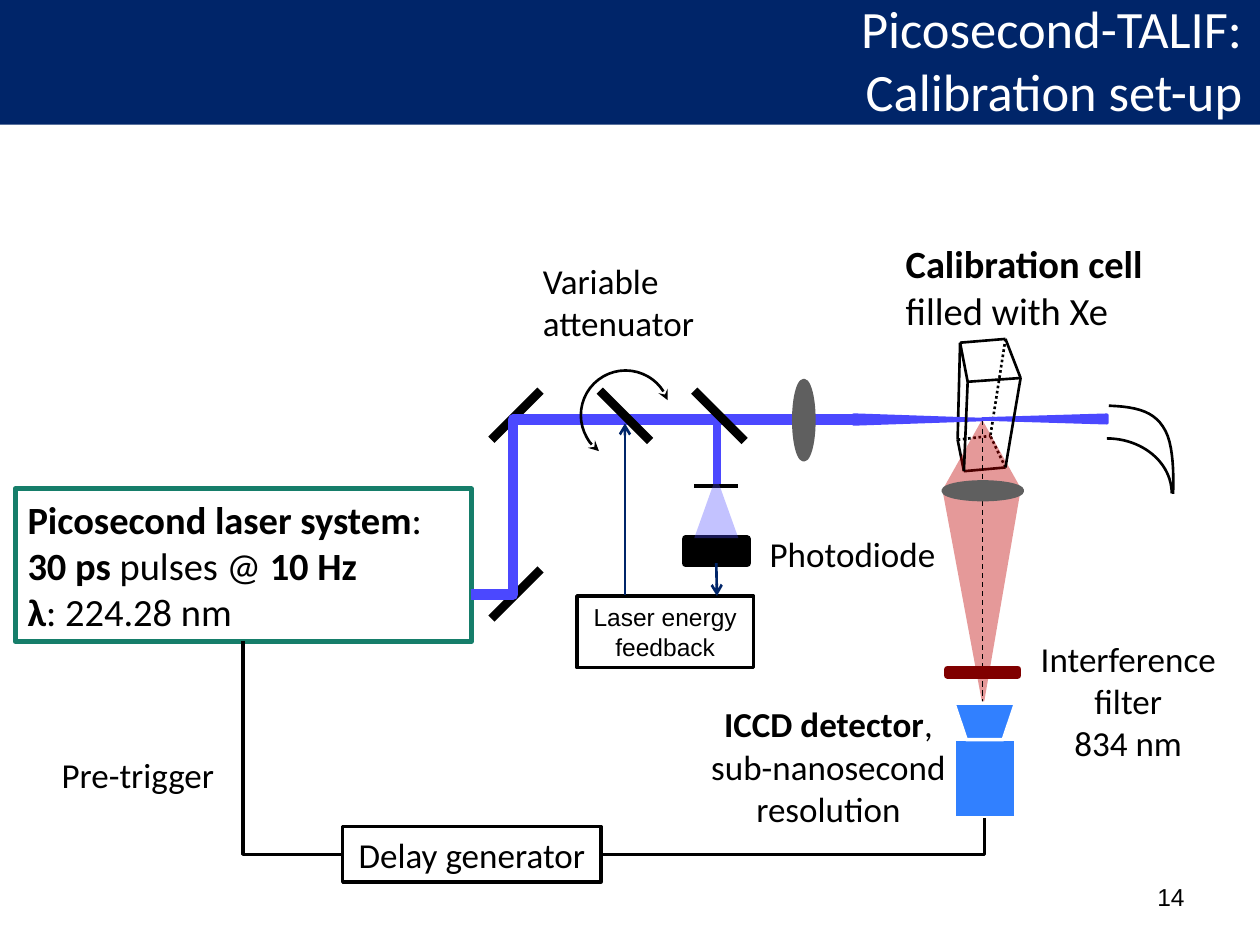
import dataclasses

import lxml.etree
import pptx
import pptx.dml.color
import pptx.enum.dml
import pptx.enum.shapes
import pptx.enum.text
import pptx.oxml.ns
import pptx.util

Inches = pptx.util.Inches
SHAPE = pptx.enum.shapes.MSO_SHAPE
CONNECTOR = pptx.enum.shapes.MSO_CONNECTOR
DASH = pptx.enum.dml.MSO_LINE
ALIGN = pptx.enum.text.PP_ALIGN
ANCHOR = pptx.enum.text.MSO_ANCHOR
qn = pptx.oxml.ns.qn


@dataclasses.dataclass(frozen=True)
class Theme:
    navy: str = "002569"
    white: str = "FFFFFF"
    black: str = "000000"
    beam: str = "4B48FF"
    glow: str = "C00000"
    lens: str = "5F5F5F"
    camera: str = "3180FF"
    filter: str = "800000"
    laser: str = "167E6A"
    font: str = "Calibri"
    small_font: str = "Arial"
    title: int = 30
    large: int = 22
    label: int = 20
    small: int = 14


class Diagram:
    """Draws styled elements on the current slide."""

    def __init__(self, theme, slide):
        self.theme = theme
        self.s = slide

    def rgb(self, color):
        return pptx.dml.color.RGBColor.from_string(color)

    def set_text(self, sp, paragraphs, size, align=ALIGN.LEFT, font=None, color=None,
                 anchor=ANCHOR.TOP, wrap=True):
        tf = sp.text_frame
        tf.word_wrap = wrap
        tf.vertical_anchor = anchor
        for i, runs in enumerate(paragraphs):
            p = tf.add_paragraph() if i else tf.paragraphs[0]
            p.alignment = align
            for text, bold in runs:
                for j, part in enumerate(text.split("\n")):
                    if j:
                        p.add_line_break()
                    r = p.add_run()
                    r.text = part
                    r.font.name = font or self.theme.font
                    r.font.size = pptx.util.Pt(size)
                    r.font.bold = bold
                    r.font.color.rgb = self.rgb(color or self.theme.black)
        return sp

    def title(self, box, lines):
        sp = self.s.shapes.title
        sp.left, sp.top, sp.width, sp.height = map(Inches, box)
        sp.text_frame.auto_size = pptx.enum.text.MSO_AUTO_SIZE.NONE
        self.set_text(sp, [[(line, False)] for line in lines], self.theme.title,
                      ALIGN.RIGHT, color=self.theme.white)
        for p in sp.text_frame.paragraphs:
            p.space_before = pptx.util.Pt(0)

    def text(self, box, paragraphs, size=None, **style):
        sp = self.s.shapes.add_textbox(*map(Inches, box))
        return self.set_text(sp, paragraphs, size or self.theme.label, **style)

    def outline(self, sp, color, width, dash=None, head=None, tail=None):
        sp.line.color.rgb = self.rgb(color)
        sp.line.width = pptx.util.Pt(width)
        if dash:
            sp.line.dash_style = dash
        ln = sp.element.spPr.find(qn("a:ln"))
        for tag, kind in (("a:headEnd", head), ("a:tailEnd", tail)):
            if kind:
                lxml.etree.SubElement(ln, qn(tag)).set("type", kind)

    def shape(self, kind, box, fill=None, line=None, width=2, alpha=None, rot=0, adj=(), **ends):
        sp = self.s.shapes.add_shape(kind, *map(Inches, box))
        sp.shadow.inherit = False
        sp.rotation = rot
        for i, value in enumerate(adj):
            sp.adjustments[i] = value
        if fill:
            sp.fill.solid()
            sp.fill.fore_color.rgb = self.rgb(fill)
        else:
            sp.fill.background()
        if alpha:
            clr = next(sp.element.spPr.iter(qn("a:srgbClr")))
            lxml.etree.SubElement(clr, qn("a:alpha")).set("val", str(alpha * 1000))
        if line:
            self.outline(sp, line, width, **ends)
        else:
            sp.line.fill.background()
        return sp

    def connector(self, start, end, color=None, width=1.5, kind=CONNECTOR.STRAIGHT, **ends):
        c = self.s.shapes.add_connector(kind, *map(Inches, start + end))
        self.outline(c, color or self.theme.black, width, **ends)
        lxml.etree.SubElement(c.element.spPr, qn("a:effectLst"))
        return c

    def elbow(self, start, end, color, width, bend=None):
        c = self.connector(start, end, color, width, CONNECTOR.ELBOW)
        geom = c.element.spPr.find(qn("a:prstGeom"))
        if bend is None:
            geom.set("prst", "bentConnector2")
        else:
            gd = lxml.etree.SubElement(geom.find(qn("a:avLst")), qn("a:gd"))
            gd.set("name", "adj1")
            gd.set("fmla", f"val {round(bend * 100000)}")
        return c

    def curve(self, start, segments, color, width, steps=12):
        points = []
        last = start
        for seg in segments:
            a, b, c, d = last, *seg
            for i in range(1, steps + 1):
                t = i / steps
                u = 1 - t
                points.append(tuple(
                    Inches(u**3 * a[k] + 3 * u * u * t * b[k] + 3 * u * t * t * c[k] + t**3 * d[k])
                    for k in (0, 1)))
            last = d
        builder = self.s.shapes.build_freeform(*map(Inches, start))
        builder.add_line_segments(points, close=False)
        sp = builder.convert_to_shape()
        sp.shadow.inherit = False
        sp.fill.background()
        self.outline(sp, color, width)


def main():
    prs = pptx.Presentation()
    prs.slide_width, prs.slide_height = Inches(10), Inches(7.5)
    t = Theme()
    s = prs.slides.add_slide(prs.slide_layouts[5])
    d = Diagram(t, s)
    center = ALIGN.CENTER

    bar = d.shape(SHAPE.RECTANGLE, (0, 0, 10, 0.99), t.navy)
    s.shapes.element.insert(2, bar.element)
    d.title((0.39, -0.08, 9.57, 0.76), ["Picosecond-TALIF:", "Calibration set-up"])

    top_left, top_right = (7.62, 2.72), (7.98, 2.69)
    front_left, front_right = (7.68, 3.03), (8.1, 3)
    base_left, base_right = (7.65, 3.74), (7.98, 3.71)
    back_left, back_right = (7.6, 3.49), (7.86, 3.46)
    for a, b in ((back_left, top_left), (front_left, front_right), (top_left, top_right),
                 (front_left, top_left), (front_right, top_right), (base_left, base_right),
                 (base_left, back_left)):
        d.connector(a, b)
    for corner in (top_right, base_right, back_left):
        d.connector(corner, back_right, dash=DASH.ROUND_DOT)

    d.shape(SHAPE.ISOSCELES_TRIANGLE, (7.48, 3.33, 0.63, 0.56), t.glow, alpha=40)
    d.shape(SHAPE.ISOSCELES_TRIANGLE, (7.48, 3.89, 0.62, 1.73), t.glow, alpha=40,
            rot=180, adj=[0.48])
    camera = d.shape(SHAPE.RECTANGLE, (7.57, 5.87, 0.49, 0.62), t.camera, t.white)
    d.text((5.47, 5.53, 2.21, 1.11),
           [[("ICCD detector", True), (",\nsub-nanosecond\nresolution", False)]], align=center)
    d.connector((7.8, 3.33), (7.8, 5.87), width=0.75, dash=DASH.DASH)
    d.shape(SHAPE.FLOWCHART_MANUAL_OPERATION, (7.57, 5.58, 0.49, 0.29), t.camera, t.white)
    d.shape(SHAPE.OVAL, (7.73, 3.58, 0.14, 0.63), t.lens, t.lens, rot=90)
    d.shape(SHAPE.RECTANGLE, (7.52, 5.31, 0.56, 0.05), t.filter, t.filter, 4)
    d.text((8.07, 5.01, 1.77, 1.11),
           [[("Interference\nfilter", False)], [("834 nm", False)]], align=center)

    d.text((0.39, 5.93, 1.46, 0.44), [[("Pre-trigger", False)]])
    delay = d.shape(SHAPE.RECTANGLE, (2.72, 6.56, 2.05, 0.44), line=t.black)
    d.set_text(delay, [[("Delay generator", False)]], t.label, center, anchor=ANCHOR.MIDDLE)
    d.text((6.01, 4.18, 1.59, 0.44), [[("Photodiode", False)]], wrap=False)
    d.text((4.21, 2.01, 1.42, 0.77), [[("Variable", False)], [("attenuator", False)]], wrap=False)
    laser = d.shape(SHAPE.RECTANGLE, (0.12, 3.88, 3.62, 1.21), line=t.laser, width=3)
    d.set_text(laser, [[("Picosecond laser system", True), (":", False)],
                       [("30 ps ", True), ("pulses @ ", False), ("10 Hz", True)],
                       [("λ", True), (": 224.28 nm", False)]], t.large, anchor=ANCHOR.MIDDLE)
    trigger = d.elbow((2.72, 6.78), (1.93, 5.09), t.black, 2)
    trigger.begin_connect(delay, 1)
    trigger.end_connect(laser, 2)
    gate = d.elbow((4.77, 6.78), (7.82, 6.49), t.black, 2)
    gate.begin_connect(delay, 3)
    gate.end_connect(camera, 2)

    for y in (4.91, 3.49):
        d.connector((3.9, y), (4.29, y - 0.39), width=5)
    d.elbow((6.77, 3.33), (3.74, 4.72), t.beam, 6, bend=0.89)
    d.shape(SHAPE.OVAL, (6.3, 3.02, 0.16, 0.63), t.lens, t.lens)
    photodiode = d.shape(SHAPE.RECTANGLE, (5.44, 4.28, 0.49, 0.19), t.black, t.black, 4.5)
    d.connector((5.69, 3.33), (5.69, 3.86), t.beam, 4.5)
    d.connector((5.51, 3.86), (5.86, 3.86), width=2.25)
    for x in (5.51, 4.76):
        d.connector((x, 3.1), (x + 0.4, 3.5), width=5)
    d.shape(SHAPE.ISOSCELES_TRIANGLE, (7.25, 2.82, 0.07, 1.02), t.beam, t.beam, rot=90)
    d.shape(SHAPE.ISOSCELES_TRIANGLE, (8.26, 2.83, 0.06, 0.99), t.beam, t.beam, rot=270)
    d.curve((8.8, 3.22), [((9.04, 3.23), (9.17, 3.27), (9.25, 3.42)),
                          ((9.33, 3.57), (9.31, 3.9), (9.31, 3.92))], t.black, 1.5)
    d.shape(SHAPE.ARC, (8.27, 3.48, 1.03, 0.87), line=t.black, width=1.5)
    d.shape(SHAPE.ARC, (4.61, 2.94, 0.71, 0.71), line=t.black, width=1.5,
            adj=[75.91, 204.24], head="stealth", tail="stealth")

    feedback = d.shape(SHAPE.RECTANGLE, (4.58, 4.73, 1.4, 0.57), line=t.black)
    d.set_text(feedback, [[("Laser energy", False)], [("feedback", False)]], t.small, center,
               t.small_font, anchor=ANCHOR.MIDDLE)
    signal = d.connector((5.69, 4.47), (5.69, 4.73), t.navy, tail="arrow")
    signal.begin_connect(photodiode, 2)
    d.connector((4.96, 4.72), (4.96, 3.36), t.navy, tail="arrow")
    d.shape(SHAPE.ISOSCELES_TRIANGLE, (5.51, 3.78, 0.35, 0.49), t.beam, alpha=33)
    d.connector(base_left, front_left)
    d.connector(base_right, front_right)
    d.text((7.09, 1.86, 2.36, 0.84),
           [[("Calibration cell", True)], [("filled with Xe", False)]], t.large)
    d.text((7.17, 6.95, 2.33, 0.4), [[("14", False)]], t.small, align=ALIGN.RIGHT,
           font=t.small_font)

    prs.save("out.pptx")


if __name__ == "__main__":
    main()
